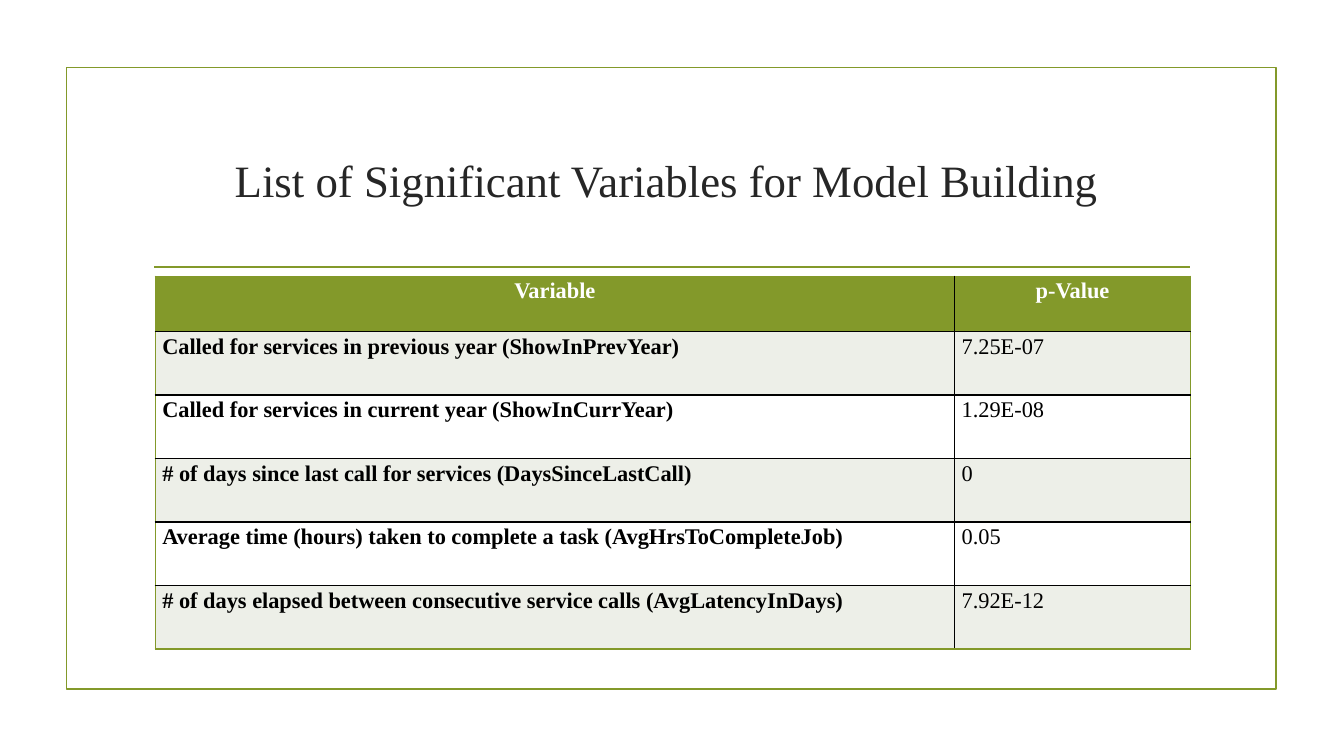
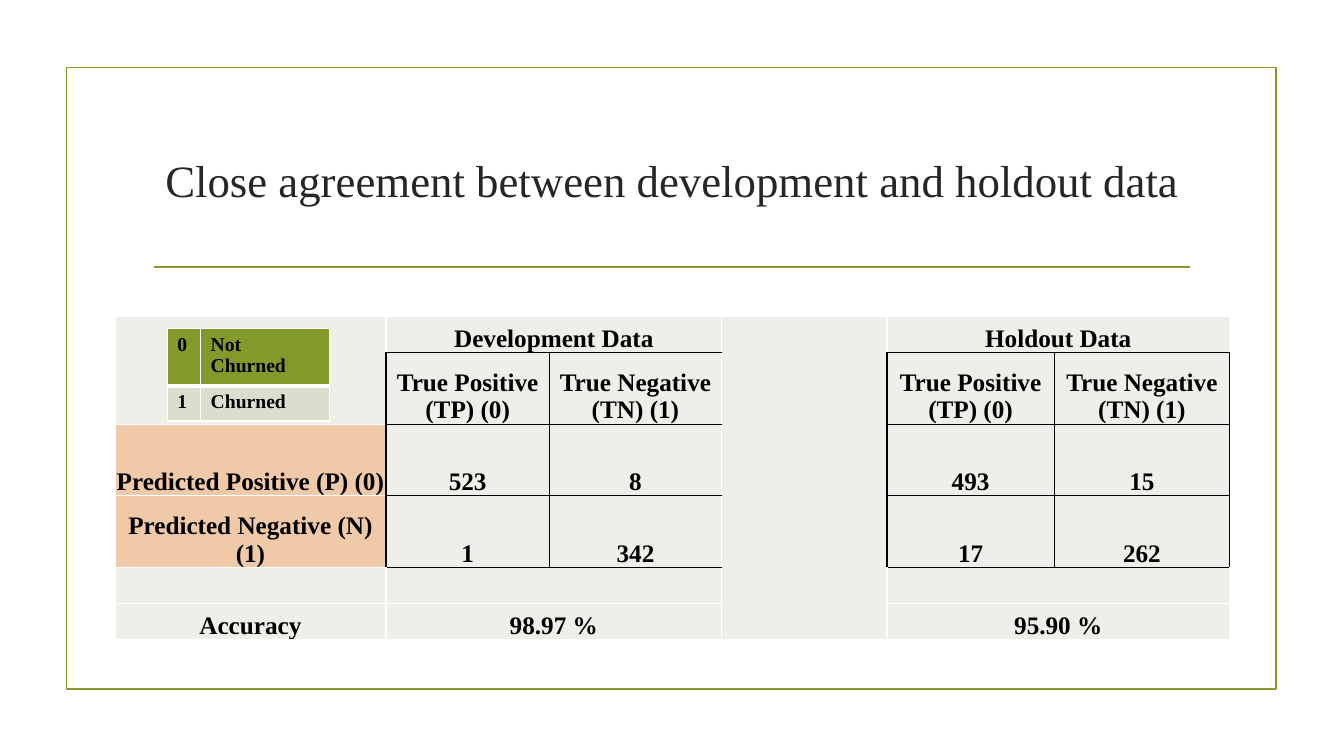
from dataclasses import dataclass
from typing import NamedTuple

from lxml import etree
from pptx import Presentation, util as u
from pptx.dml.color import RGBColor
from pptx.enum import shapes, text
from pptx.oxml.ns import qn


@dataclass(frozen=True)
class Theme:
    font: str = "Times New Roman"
    accent: str = "83992A"
    pale: str = "EDEFE8"
    soft: str = "D9DECD"
    peach: str = "F0C9A9"
    heading: str = "262626"
    black: str = "000000"
    white: str = "FFFFFF"
    title_size: int = 32
    matrix_size: int = 18
    list_size: int = 16
    legend_size: int = 14
    rule_width: float = 1.25


THEME = Theme()
WIDTH, HEIGHT = u.Inches(13.33), u.Inches(7.5)


class Area(NamedTuple):
    """Percentages of the slide's width and height."""
    left: float
    top: float
    width: float
    height: float

    def box(self) -> tuple[int, int, int, int]:
        return (across(self.left), down(self.top), across(self.width), down(self.height))


class Edges(NamedTuple):
    left: str = THEME.white
    right: str = THEME.white
    top: str = THEME.white
    bottom: str = THEME.white
    bottom_width: float = 1


@dataclass(frozen=True)
class Cell:
    row: int
    column: int
    content: str = ""
    fill: str = THEME.pale
    edges: Edges = Edges()
    rows: int = 1
    columns: int = 1
    color: str = THEME.black
    bold: bool = True
    align: text.PP_ALIGN = text.PP_ALIGN.CENTER


@dataclass(frozen=True)
class Grid:
    area: Area
    columns: tuple[float, ...]
    rows: tuple[float, ...]
    size: int
    insets: tuple[float, float, float, float]
    anchor: text.MSO_ANCHOR = text.MSO_ANCHOR.TOP
    spacing: float = 1.0


FRAME = Area(4.96, 8.93, 90, 82.27)
TITLE = Area(10.65, 14.27, 78.75, 19.07)
RULE = Area(11.48, 35.33, 77.1, 0)
VARIABLE_GRID = Grid(Area(11.55, 36.53, 77.03, 49.33), (7.93, 2.34), (0.55,) + (0.63,) * 5,
                     THEME.list_size, (0.07, 0, 0.07, 0), spacing=1.1)
MATRIX_GRID = Grid(Area(8.55, 41.87, 82.95, 42.8), (2.69, 1.62, 1.71, 1.64, 1.66, 1.74),
                   (0.36, 0.71, 0.71, 0.71, 0.36, 0.36), THEME.matrix_size,
                   (0.01, 0.01, 0.01, 0), text.MSO_ANCHOR.BOTTOM)
LEGEND_GRID = Grid(Area(12.45, 43.47, 12.08, 11.73), (0.33, 1.28), (0.53, 0.35),
                   THEME.legend_size, (0.1, 0.05, 0.1, 0.05))

VARIABLES = (
    ("Variable", "p-Value"),
    ("Called for services in previous year (ShowInPrevYear)", "7.25E-07"),
    ("Called for services in current year (ShowInCurrYear)", "1.29E-08"),
    ("# of days since last call for services (DaysSinceLastCall)", "0"),
    ("Average time (hours) taken to complete a task (AvgHrsToCompleteJob)", "0.05"),
    ("# of days elapsed between consecutive service calls (AvgLatencyInDays)", "7.92E-12"),
)
OUTCOMES = ("True Positive (TP) (0)", "True Negative (TN) (1)")
PREDICTIONS = ("Predicted Positive (P) (0)", "Predicted Negative (N) (1)")
SAMPLES = (
    (1, "Development Data", (("523", "8"), ("1", "342")), "98.97 %"),
    (4, "Holdout Data", (("493", "15"), ("17", "262")), "95.90 %"),
)
LEGEND = (("0", "Not Churned"), ("1", "Churned"))


def across(percent: float) -> int:
    return round(WIDTH * percent / 100)


def down(percent: float) -> int:
    return round(HEIGHT * percent / 100)


def rgb(color: str) -> RGBColor:
    return RGBColor.from_string(color)


def write(frame, content: str, *, size: int, color: str, bold: bool = False,
          align=text.PP_ALIGN.LEFT, spacing: float = 1.0) -> None:
    paragraph = frame.paragraphs[0]
    paragraph.alignment = align
    paragraph.line_spacing = spacing
    paragraph.font.size = u.Pt(size)
    if not content:
        return
    run = paragraph.add_run()
    run.text = content
    run.font.name = THEME.font
    run.font.size = u.Pt(size)
    run.font.bold = bold
    run.font.color.rgb = rgb(color)


def draw_edges(cell, edges: Edges) -> None:
    properties = cell._tc.get_or_add_tcPr()
    sides = (("L", edges.left, 1), ("R", edges.right, 1),
             ("T", edges.top, 1), ("B", edges.bottom, edges.bottom_width))
    for side, color, width in sides:
        line = etree.SubElement(properties, qn(f"a:ln{side}"), w=str(u.Pt(width)))
        fill = etree.SubElement(line, qn("a:solidFill"))
        etree.SubElement(fill, qn("a:srgbClr"), val=color)


def share_out(total: int, parts, weights: tuple[float, ...], measure: str) -> None:
    for part, weight in zip(parts, weights):
        setattr(part, measure, round(total * weight / sum(weights)))


def draw_table(slide, grid: Grid, cells: list[Cell]) -> None:
    left, top, width, height = grid.area.box()
    table = slide.shapes.add_table(len(grid.rows), len(grid.columns),
                                   left, top, width, height).table
    table.first_row = table.horz_banding = False
    share_out(width, table.columns, grid.columns, "width")
    share_out(height, table.rows, grid.rows, "height")
    for item in cells:
        origin = table.cell(item.row, item.column)
        for row in range(item.row, item.row + item.rows):
            for column in range(item.column, item.column + item.columns):
                cell = table.cell(row, column)
                (cell.margin_left, cell.margin_top,
                 cell.margin_right, cell.margin_bottom) = map(u.Inches, grid.insets)
                cell.vertical_anchor = grid.anchor
                draw_edges(cell, item.edges)
                cell.fill.solid()
                cell.fill.fore_color.rgb = rgb(item.fill)
        if item.rows * item.columns > 1:
            origin.merge(table.cell(item.row + item.rows - 1, item.column + item.columns - 1))
        write(origin.text_frame, item.content, size=grid.size, color=item.color,
              bold=item.bold, align=item.align, spacing=grid.spacing)


def add_framed_slide(deck, title: str):
    slide = deck.slides.add_slide(deck.slide_layouts[6])
    border = slide.shapes.add_shape(shapes.MSO_SHAPE.RECTANGLE, *FRAME.box())
    border.shadow.inherit = False
    border.fill.background()
    left, top, width, _ = RULE.box()
    rule = slide.shapes.add_connector(shapes.MSO_CONNECTOR.STRAIGHT, left, top, left + width, top)
    etree.SubElement(rule._element.spPr, qn("a:effectLst"))
    for outline in (border.line, rule.line):
        outline.color.rgb = rgb(THEME.accent)
        outline.width = u.Pt(THEME.rule_width)
    heading = slide.shapes.add_textbox(*TITLE.box()).text_frame
    heading.word_wrap = True
    heading.vertical_anchor = text.MSO_ANCHOR.MIDDLE
    write(heading, title, size=THEME.title_size, color=THEME.heading, align=text.PP_ALIGN.CENTER)
    return slide


def variable_cells() -> list[Cell]:
    cells = []
    last = len(VARIABLES) - 1
    for row, entries in enumerate(VARIABLES):
        header = row == 0
        band = THEME.accent if header else THEME.pale if row % 2 else THEME.white
        for column, content in enumerate(entries):
            edges = Edges(*(THEME.accent if outer else THEME.black
                            for outer in (column == 0, column == 1, header, row == last)))
            cells.append(Cell(row, column, content, band, edges,
                              color=THEME.white if header else THEME.black,
                              bold=header or column == 0,
                              align=text.PP_ALIGN.CENTER if header else text.PP_ALIGN.LEFT))
    return cells


def matrix_cells() -> list[Cell]:
    boxed = Edges(*[THEME.black] * 4)
    cells = [Cell(0, 0, rows=2), Cell(0, 3, rows=6), Cell(4, 0), Cell(5, 0, "Accuracy")]
    cells += [Cell(row, 0, label, THEME.peach, Edges(right=THEME.black))
              for row, label in enumerate(PREDICTIONS, 2)]
    for first, sample, counts, accuracy in SAMPLES:
        cells += [Cell(0, first, sample, edges=Edges(bottom=THEME.black), columns=2),
                  Cell(4, first, edges=Edges(top=THEME.black), columns=2),
                  Cell(5, first, accuracy, columns=2)]
        cells += [Cell(row, column, content, edges=boxed)
                  for row, entries in enumerate((OUTCOMES, *counts), 1)
                  for column, content in enumerate(entries, first)]
    return cells


def legend_cells() -> list[Cell]:
    looks = ((THEME.accent, Edges(bottom_width=3)), (THEME.soft, Edges()))
    return [Cell(row, column, content, *looks[row], align=text.PP_ALIGN.LEFT)
            for row, entries in enumerate(LEGEND) for column, content in enumerate(entries)]


def main() -> None:
    deck = Presentation()
    deck.slide_width, deck.slide_height = WIDTH, HEIGHT
    variables = add_framed_slide(deck, "List of Significant Variables for Model Building ")
    draw_table(variables, VARIABLE_GRID, variable_cells())
    agreement = add_framed_slide(deck, "Close agreement between development and holdout data")
    draw_table(agreement, MATRIX_GRID, matrix_cells())
    draw_table(agreement, LEGEND_GRID, legend_cells())
    deck.save("out.pptx")


if __name__ == "__main__":
    main()
